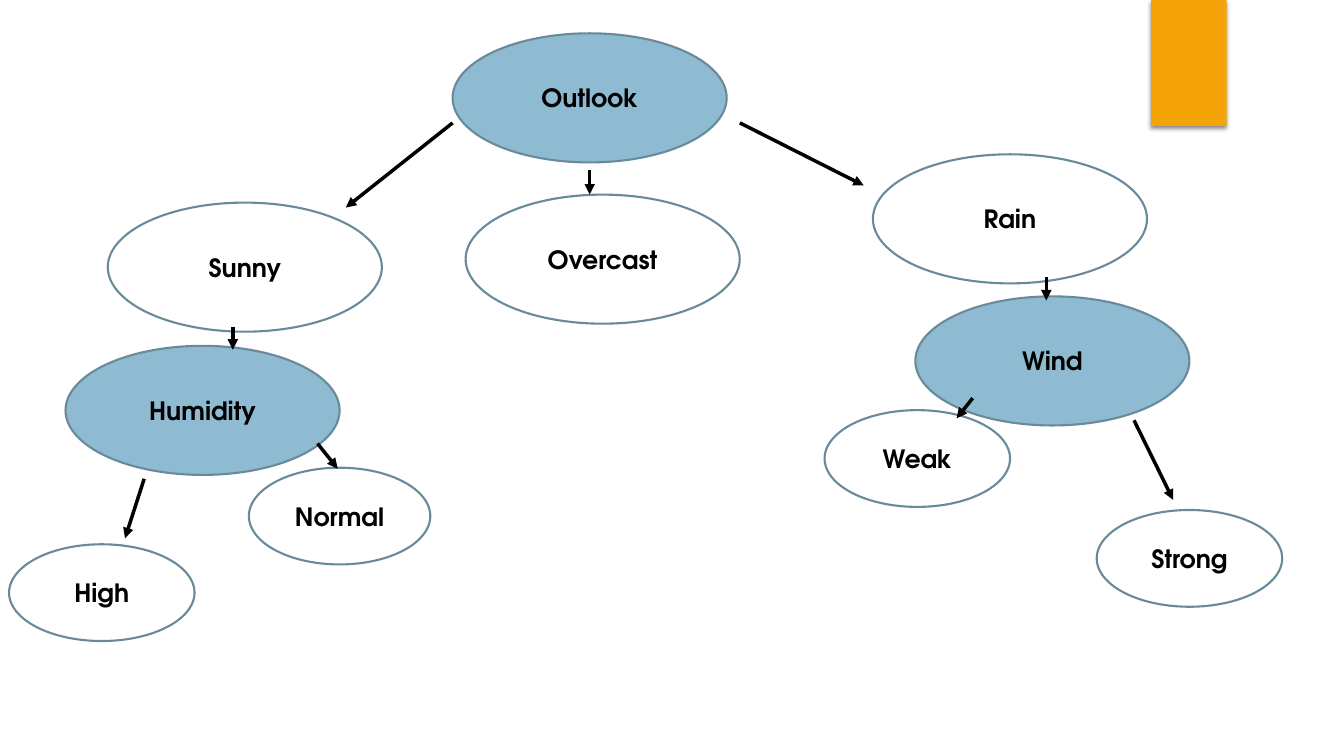
from dataclasses import dataclass

from lxml import etree
from pptx import Presentation
from pptx.dml.color import RGBColor
from pptx.enum.shapes import MSO_CONNECTOR, MSO_SHAPE as SHAPE
from pptx.enum.text import MSO_ANCHOR, PP_ALIGN
from pptx.oxml import parse_xml
from pptx.oxml.ns import nsdecls, qn
from pptx.shapes.shapetree import SlideShapes
from pptx.util import Pt

BLACK = RGBColor(0x00, 0x00, 0x00)
WHITE = RGBColor(0xFF, 0xFF, 0xFF)
BLUE = RGBColor(0x8E, 0xBB, 0xD2)
OUTLINE = RGBColor(0x69, 0x8A, 0x9B)
ORANGE = RGBColor(0xF5, 0xA4, 0x08)
FONT = "TeX Gyre Adventor"


@dataclass
class Node:
    text: str
    left: float
    top: float
    fill: RGBColor = WHITE
    width: float = 195.8
    height: float = 92.2


@dataclass
class Leaf(Node):
    width: float = 132.5
    height: float = 69.1


@dataclass
class Arrow:
    x1: float
    y1: float
    x2: float
    y2: float


NODES = [
    Node("Outlook", 323.3, 23.8, BLUE),
    Node("Overcast", 332.6, 139),
    Node("Rain", 623.5, 110.2),
    Node("Sunny", 77, 144.7),
    Node("Humidity", 46.8, 247, BLUE),
    Node("Wind", 653.8, 211.7, BLUE),
    Leaf("High", 6.5, 388.8),
    Leaf("Normal", 177.8, 334.1, width=129.6),
    Leaf("Weak", 589, 293),
    Leaf("Strong", 783.4, 364.3),
]

ARROWS = [
    Arrow(323.3, 87.8, 247, 148.3),
    Arrow(421.2, 121.7, 421.2, 139),
    Arrow(528.5, 87.8, 617, 132.5),
    Arrow(166.3, 233.3, 166.3, 249.8),
    Arrow(747.4, 198, 747.4, 214.6),
    Arrow(103, 342, 89.3, 384.5),
    Arrow(226.8, 316.8, 241.2, 334.8),
    Arrow(694.8, 284.4, 683.3, 298.8),
    Arrow(810, 300.2, 838, 357.1),
]


def add_tab(shapes: SlideShapes) -> None:
    sp = shapes.add_shape(SHAPE.RECTANGLE, Pt(822.2), Pt(0), Pt(54), Pt(90))
    sp.fill.solid()
    sp.fill.fore_color.rgb = ORANGE
    sp.line.fill.background()
    sp._element.spPr.append(parse_xml(
        f'<a:effectLst {nsdecls("a")}>'
        f'<a:outerShdw blurRad="{Pt(3)}" dist="{Pt(2)}" dir="5400000" rotWithShape="0">'
        '<a:srgbClr val="000000"><a:alpha val="45000"/></a:srgbClr>'
        '</a:outerShdw></a:effectLst>'))


def add_node(shapes: SlideShapes, node: Node) -> None:
    sp = shapes.add_shape(SHAPE.OVAL, Pt(node.left), Pt(node.top),
                          Pt(node.width), Pt(node.height))
    sp.shadow.inherit = False
    sp.fill.solid()
    sp.fill.fore_color.rgb = node.fill
    sp.line.color.rgb = OUTLINE
    sp.line.width = Pt(1.5)
    tf = sp.text_frame
    tf.vertical_anchor = MSO_ANCHOR.MIDDLE
    p = tf.paragraphs[0]
    p.text = node.text
    p.alignment = PP_ALIGN.CENTER
    p.font.name = FONT
    p.font.size = Pt(18)
    p.font.bold = True
    p.font.color.rgb = BLACK


def add_arrow(shapes: SlideShapes, arrow: Arrow) -> None:
    line = shapes.add_connector(MSO_CONNECTOR.STRAIGHT, Pt(arrow.x1), Pt(arrow.y1),
                                Pt(arrow.x2), Pt(arrow.y2))
    line.line.color.rgb = BLACK
    line.line.width = Pt(2.5)
    etree.SubElement(line.line._get_or_add_ln(), qn("a:tailEnd"), type="triangle")
    etree.SubElement(line._element.spPr, qn("a:effectLst"))


def main() -> None:
    prs = Presentation()
    prs.slide_width, prs.slide_height = Pt(960), Pt(540)
    s = prs.slides.add_slide(prs.slide_layouts[6])
    add_tab(s.shapes)
    for node in NODES:
        add_node(s.shapes, node)
    for arrow in ARROWS:
        add_arrow(s.shapes, arrow)
    prs.save("out.pptx")


if __name__ == "__main__":
    main()
